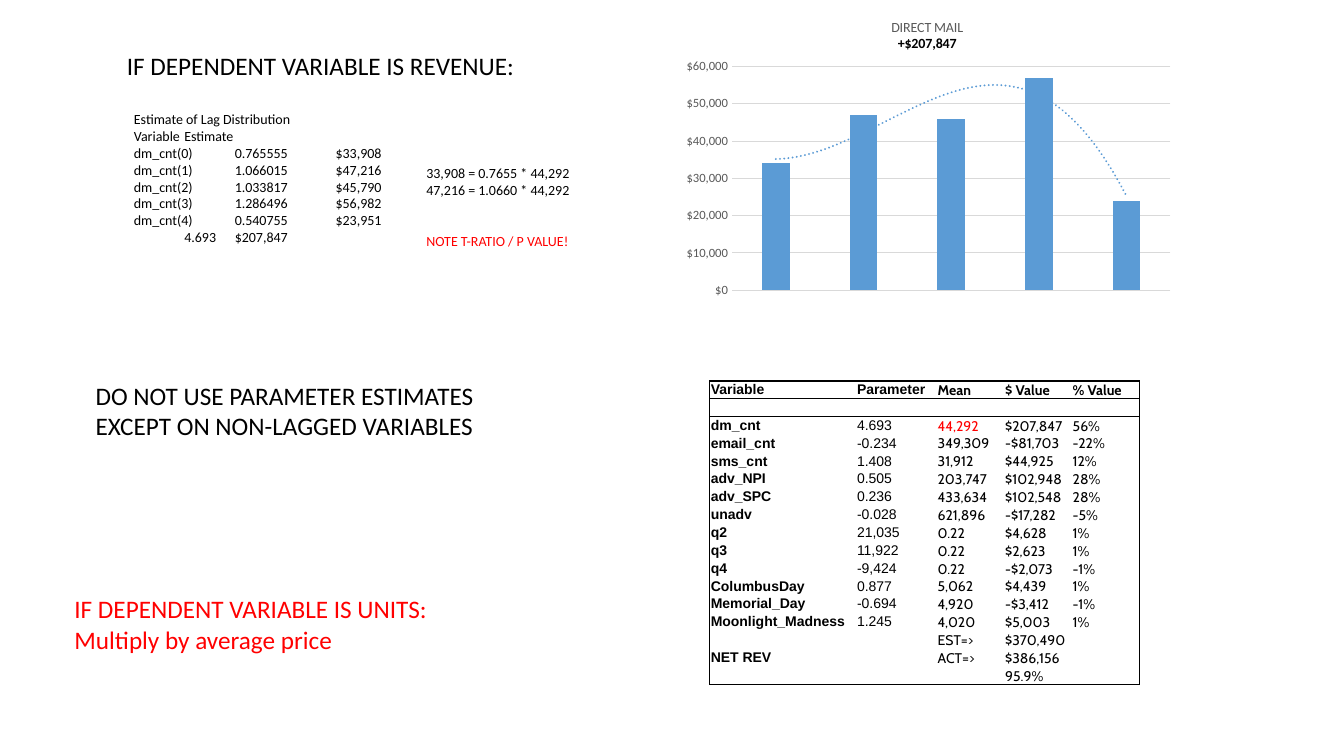
"""Build the slide on lagged direct mail effects on revenue."""
from lxml import etree
from pptx import Presentation
from pptx.chart.data import CategoryChartData
from pptx.dml.color import RGBColor
from pptx.enum.chart import XL_CHART_TYPE, XL_TICK_MARK
from pptx.enum.text import MSO_ANCHOR, MSO_AUTO_SIZE
from pptx.oxml import parse_xml
from pptx.oxml.ns import nsdecls, qn
from pptx.util import Inches, Pt

COLORS = {"black": "000000", "red": "FF0000", "blue": "5B9BD5", "grey": "595959", "grid": "D9D9D9"}


def format_font(font, size, color="black", name="Calibri", bold=False):
    for attribute, value in {"size": Pt(size), "name": name, "bold": bold}.items():
        setattr(font, attribute, value)
    font.color.rgb = RGBColor.from_string(COLORS[color])


def place_chart_part(element, index, **position):
    for layout in element.findall(qn("c:layout")):
        element.remove(layout)
    layout = etree.Element(qn("c:layout"))
    manual = etree.SubElement(layout, qn("c:manualLayout"))
    if "w" in position:
        etree.SubElement(manual, qn("c:layoutTarget"), val="inner")
    for mode in ("xMode", "yMode"):
        etree.SubElement(manual, qn(f"c:{mode}"), val="edge")
    for key, value in position.items():
        etree.SubElement(manual, qn(f"c:{key}"), val=str(value))
    element.insert(index, layout)


presentation = Presentation()
presentation.slide_width = Inches(13.33)
presentation.slide_height = Inches(7.5)
slide = presentation.slides.add_slide(presentation.slide_layouts[6])

lag_lines = [
    "Estimate of Lag Distribution",
    "Variable\tEstimate",
    "dm_cnt(0)\t0.765555\t$33,908",
    "dm_cnt(1)\t1.066015\t$47,216",
    "dm_cnt(2)\t1.033817\t$45,790",
    "dm_cnt(3)\t1.286496\t$56,982",
    "dm_cnt(4)\t0.540755\t$23,951",
    "\t4.693\t$207,847",
]
calculations = ["33,908 = 0.7655 * 44,292", "47,216 = 1.0660 * 44,292", "NOTE T-RATIO / P VALUE!"]
text_boxes = [
    ((1.23, 1.05, 3.29, 1.62), 10, True, ["black"] * 8, lag_lines),
    ((1.16, 0.45, 4.08, 0.4), 18, False, ["black"], ["IF DEPENDENT VARIABLE IS REVENUE:"]),
    ((0.85, 3.72, 4.04, 0.71), 18, False, ["black"] * 2,
     ["DO NOT USE PARAMETER ESTIMATES", "EXCEPT ON NON-LAGGED VARIABLES"]),
    ((4.13, 1.58, 1.65, 0.94), 10, False, ["black", "black", "red"], calculations),
    ((0.64, 5.84, 3.73, 0.71), 18, False, ["red"] * 2,
     ["IF DEPENDENT VARIABLE IS UNITS:", "Multiply by average price"]),
]
for box, size, wrap, colors, lines in text_boxes:
    text_frame = slide.shapes.add_textbox(*map(Inches, box)).text_frame
    text_frame.word_wrap = wrap
    text_frame.auto_size = MSO_AUTO_SIZE.SHAPE_TO_FIT_TEXT
    for index, (color, line) in enumerate(zip(colors, lines)):
        paragraph = text_frame.add_paragraph() if index else text_frame.paragraphs[0]
        run = paragraph.add_run()
        run.text = line
        format_font(run.font, size, color)
        if lines is calculations and color == "red":
            paragraph.space_before = Pt(24.4)

rows = [
    ("Variable", "Parameter", "Mean", "$ Value", "% Value"),
    ("", "", "", "", ""),
    ("dm_cnt", "4.693", "44,292", "$207,847", "56%"),
    ("email_cnt", "-0.234", "349,309", "-$81,703", "-22%"),
    ("sms_cnt", "1.408", "31,912", "$44,925", "12%"),
    ("adv_NPI", "0.505", "203,747", "$102,948", "28%"),
    ("adv_SPC", "0.236", "433,634", "$102,548", "28%"),
    ("unadv", "-0.028", "621,896", "-$17,282", "-5%"),
    ("q2", "21,035", "0.22", "$4,628", "1%"),
    ("q3", "11,922", "0.22", "$2,623", "1%"),
    ("q4", "-9,424", "0.22", "-$2,073", "-1%"),
    ("ColumbusDay", "0.877", "5,062", "$4,439", "1%"),
    ("Memorial_Day", "-0.694", "4,920", "-$3,412", "-1%"),
    ("Moonlight_Madness", "1.245", "4,020", "$5,003", "1%"),
    ("", "", "EST=>", "$370,490", ""),
    ("NET REV", "", "ACT=>", "$386,156", ""),
    ("", "", "", "95.9%", ""),
]
widths = [1.45, 0.8, 0.67, 0.67, 0.67]
last_row, last_column = len(rows) - 1, len(widths) - 1
table = slide.shapes.add_table(
    len(rows), len(widths), Inches(7.04), Inches(3.78), Inches(4.25), Inches(3.01)).table
table.first_row = table.horz_banding = False
table._tbl.tblPr.find(qn("a:tableStyleId")).text = "{2D5ABB26-0587-4C30-8999-92F81FD0307C}"
for column, width in zip(table.columns, widths):
    column.width = Inches(width)
cell_format = {
    "margin_left": Inches(0.01), "margin_right": Inches(0.01),
    "margin_top": Inches(0.01), "margin_bottom": 0,
}
for row_index, values in enumerate(rows):
    table.rows[row_index].height = Inches(3.01 / len(rows))
    for column_index, value in enumerate(values):
        cell = table.cell(row_index, column_index)
        for attribute, setting in cell_format.items():
            setattr(cell, attribute, setting)
        cell.vertical_anchor = MSO_ANCHOR.BOTTOM if row_index and column_index > 1 else MSO_ANCHOR.TOP
        cell.fill.background()
        paragraph = cell.text_frame.paragraphs[0]
        if value:
            run = paragraph.add_run()
            run.text = value
            format_font(run.font, 10, "red" if value == "44,292" else "black",
                        "Arial" if column_index < 2 else "Cabin",
                        row_index == 0 or column_index == 0)
        else:
            etree.SubElement(paragraph._p, qn("a:endParaRPr"), sz="1000")
        edges = {
            "lnL": column_index == 0,
            "lnR": column_index == last_column,
            "lnT": row_index in (0, 1),
            "lnB": row_index in (0, last_row),
        }
        borders = [edge for edge, shown in edges.items() if shown]
        for position, edge in enumerate(borders):
            cell._tc.tcPr.insert(position, parse_xml(
                f'<a:{edge} {nsdecls("a")} w="12700"><a:solidFill>'
                f'<a:srgbClr val="{COLORS["black"]}"/></a:solidFill></a:{edge}>'))

chart_data = CategoryChartData()
chart_data.categories = ["1", "2", "3", "4", "5"]
chart_data.add_series("Series 1", [34000, 47000, 46000, 57000, 24000])
chart = slide.shapes.add_chart(
    XL_CHART_TYPE.COLUMN_CLUSTERED, Inches(6.71), 0, Inches(5), Inches(3), chart_data).chart
format_font(chart.font, 10)
chart.has_legend = False
title_frame = chart.chart_title.text_frame
title_lines = [("DIRECT MAIL", "grey", False), ("+$207,847", "black", True)]
for index, (line, color, bold) in enumerate(title_lines):
    paragraph = title_frame.add_paragraph() if index else title_frame.paragraphs[0]
    run = paragraph.add_run()
    run.text = line
    format_font(run.font, 10, color, bold=bold)
place_chart_part(chart.chart_title._element, 1, x=0.42, y=0.05)
place_chart_part(chart._chartSpace.chart.plotArea, 0, x=0.11, y=0.22, w=0.87, h=0.74)

chart.category_axis.visible = False
value_axis = chart.value_axis
value_format = {
    "minimum_scale": 0, "maximum_scale": 60000, "major_unit": 10000,
    "major_tick_mark": XL_TICK_MARK.NONE, "minor_tick_mark": XL_TICK_MARK.NONE,
}
for attribute, setting in value_format.items():
    setattr(value_axis, attribute, setting)
value_axis.format.line.fill.background()
value_axis.major_gridlines.format.line.width = Pt(0.75)
value_axis.major_gridlines.format.line.color.rgb = RGBColor.from_string(COLORS["grid"])
value_axis.tick_labels.number_format = '"$"#,##0'
value_axis.tick_labels.number_format_is_linked = False
format_font(value_axis.tick_labels.font, 9, "grey")

plot = chart.plots[0]
plot.gap_width, plot.overlap, plot.vary_by_categories = 219, -27, False
series = plot.series[0]
series.format.fill.solid()
series.format.fill.fore_color.rgb = RGBColor.from_string(COLORS["blue"])
series._element.find(qn("c:cat")).addprevious(parse_xml(
    f'<c:trendline {nsdecls("c", "a")}><c:spPr><a:ln w="19050" cap="rnd"><a:solidFill>'
    f'<a:srgbClr val="{COLORS["blue"]}"/></a:solidFill><a:prstDash val="sysDot"/></a:ln></c:spPr>'
    '<c:trendlineType val="poly"/><c:order val="3"/><c:dispRSqr val="0"/><c:dispEq val="0"/>'
    '</c:trendline>'))

presentation.save("out.pptx")
